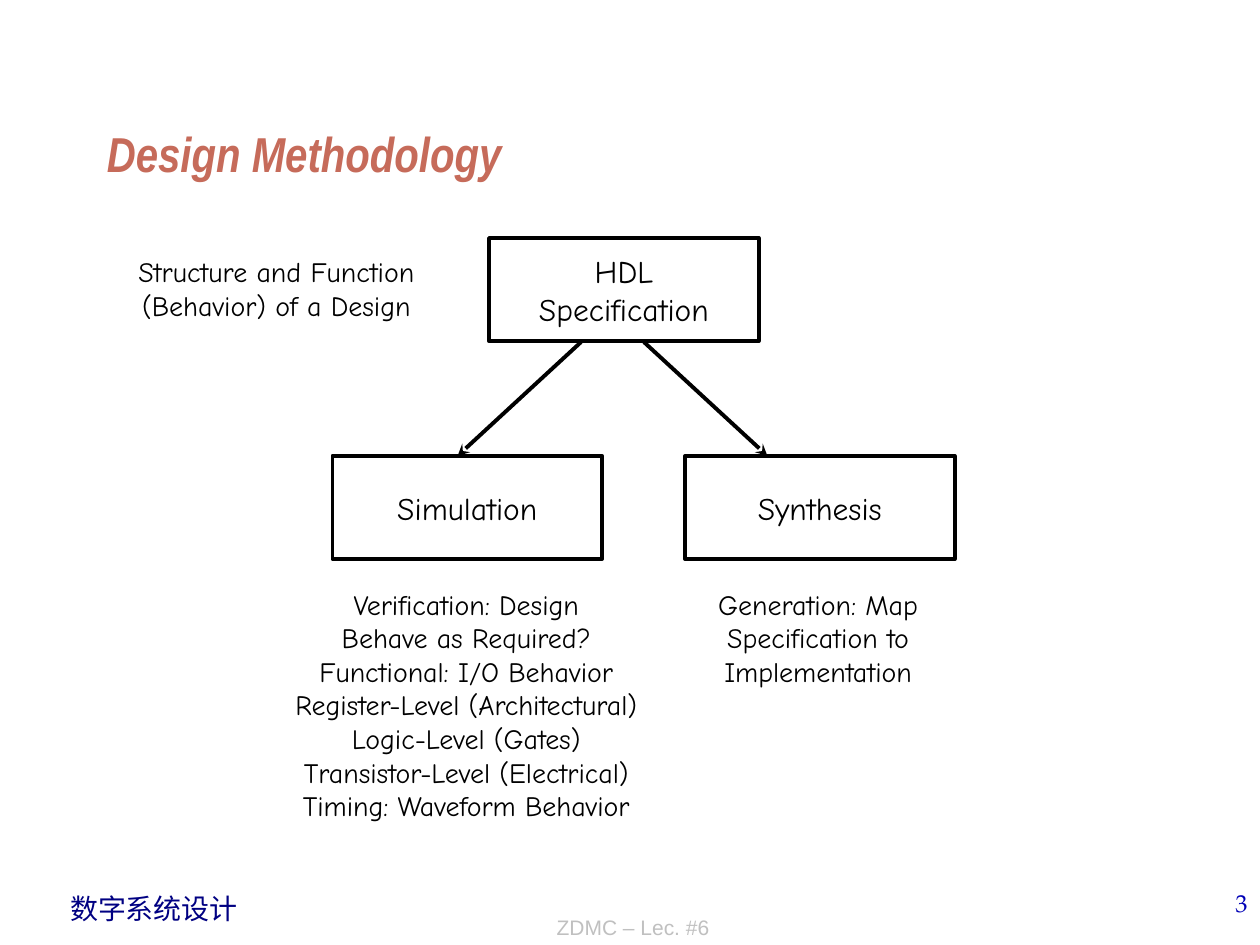
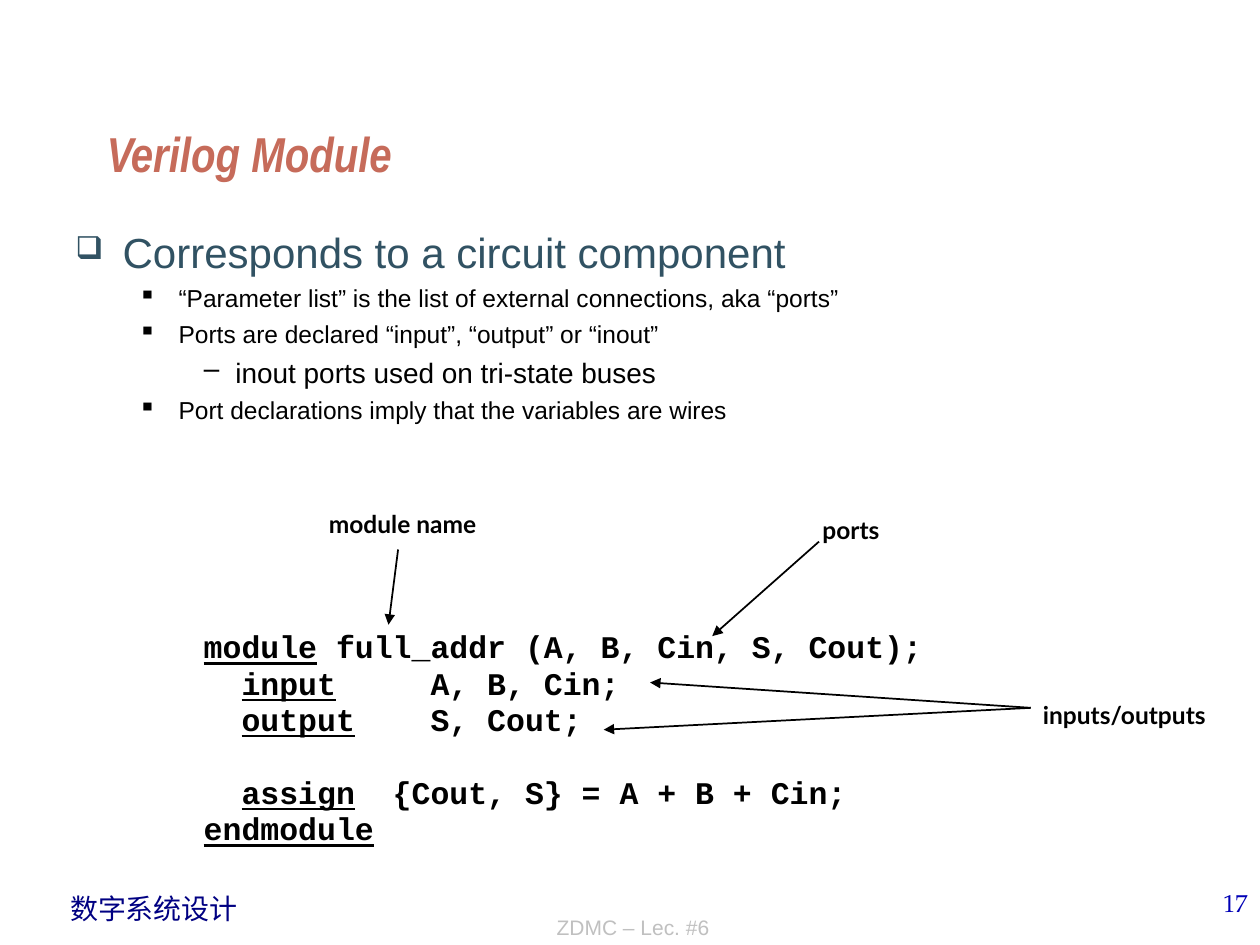
from lxml import etree
from pptx import Presentation
from pptx.dml.color import RGBColor
from pptx.enum.shapes import MSO_CONNECTOR, MSO_SHAPE
from pptx.enum.text import MSO_ANCHOR, PP_ALIGN
from pptx.oxml.ns import qn
from pptx.util import Pt

BLACK = "000000"
SLATE = "315263"
WIDE_INSETS = (7.2, 3.6)
TIGHT_INSETS = (1.44, 2.16)


def colour(value):
    return RGBColor.from_string(value)


class LectureDeck:
    """Holds the lecture style and draws each kind of element on the current page."""

    styles = {
        "title": dict(name="Arial Narrow", size=28, ink="C66B5A", bold=True, italic=True),
        "course": dict(name="Times New Roman", size=16, ink="000082"),
        "number": dict(name="TeX Gyre Pagella", size=14, ink="0000B6"),
        "lecture": dict(name="Arial", size=12, ink="C0C0C0"),
        "stage": dict(name="Comic Neue", size=18, ink=BLACK),
        "note": dict(name="Comic Neue", size=16, ink=BLACK),
        "code": dict(name="Courier New", size=18, ink=BLACK, bold=True),
        "label": dict(name="Lato", size=14, ink=BLACK, bold=True),
        "topic": dict(name="Arial", size=24, ink=SLATE),
        "point": dict(name="Arial", size=14, ink=BLACK),
        "detail": dict(name="Arial", size=16, ink=BLACK),
    }
    bullets = {
        "topic": dict(level=0, left=27, hang=27, before=0, sign="❑", scale=75),
        "point": dict(level=1, left=59, hang=23, before=3.5, sign="▪", scale=100),
        "detail": dict(level=2, left=91.5, hang=18, before=4, sign="–", scale=100),
    }

    def __init__(self):
        self.deck = Presentation()
        self.deck.slide_width, self.deck.slide_height = Pt(720), Pt(540)
        self.page = None

    def add_page(self, title, number):
        self.page = self.deck.slides.add_slide(self.deck.slide_layouts[6])
        self.add_text((33, 506, 110, 27), "数字系统设计", "course", wrap=False)
        self.add_text((570, 504, 150, 36), number, "number", align=PP_ALIGN.RIGHT)
        self.add_text((186.5, 504, 350.5, 36.5), "ZDMC – Lec. #6", "lecture",
                      align=PP_ALIGN.CENTER, anchor=MSO_ANCHOR.BOTTOM)
        self.add_text((54, 18, 612, 90), title, "title", anchor=MSO_ANCHOR.BOTTOM)

    def format_font(self, font, style):
        look = self.styles[style]
        font.name, font.size = look["name"], Pt(look["size"])
        font.bold, font.italic = look.get("bold", False), look.get("italic", False)
        font.color.rgb = colour(look["ink"])

    def fill_frame(self, box, text, style, align, anchor, wrap, insets):
        frame = box.text_frame
        frame.text = text
        frame.word_wrap, frame.vertical_anchor = wrap, anchor
        frame.margin_left = frame.margin_right = Pt(insets[0])
        frame.margin_top = frame.margin_bottom = Pt(insets[1])
        for para in frame.paragraphs:
            para.alignment = align
            for span in para.runs:
                self.format_font(span.font, style)

    def add_text(self, place, text, style, align=PP_ALIGN.LEFT,
                 anchor=MSO_ANCHOR.TOP, wrap=True, insets=WIDE_INSETS):
        box = self.page.shapes.add_textbox(*map(Pt, place))
        self.fill_frame(box, text, style, align, anchor, wrap, insets)
        return box

    def add_note(self, place, text):
        self.add_text(place, text, "note", align=PP_ALIGN.CENTER, wrap=False)

    def add_label(self, place, text):
        box = self.add_text(place, text, "label", wrap=False, insets=TIGHT_INSETS)
        box.text_frame.paragraphs[0].line_spacing = Pt(15.7)

    def add_stage(self, left, top, text):
        box = self.page.shapes.add_shape(MSO_SHAPE.RECTANGLE, *map(Pt, (left, top, 154, 59)))
        box.shadow.inherit = False
        box.fill.background()
        box.line.color.rgb, box.line.width = colour(BLACK), Pt(2.25)
        self.fill_frame(box, text, "stage", PP_ALIGN.CENTER, MSO_ANCHOR.MIDDLE,
                        False, WIDE_INSETS)

    def add_arrow(self, start, end, width, head):
        arrow = self.page.shapes.add_connector(MSO_CONNECTOR.STRAIGHT, *map(Pt, start + end))
        arrow.line.color.rgb, arrow.line.width = colour(BLACK), Pt(width)
        etree.SubElement(arrow.line._get_or_add_ln(), qn("a:tailEnd"), type=head)
        etree.SubElement(arrow._element.spPr, qn("a:effectLst"))

    def add_outline(self, place, items):
        box = self.add_text(place, "\n".join(text for _, text in items), "point")
        for para, (style, _) in zip(box.text_frame.paragraphs, items):
            bullet = self.bullets[style]
            para.level, para.space_before = bullet["level"], Pt(bullet["before"])
            settings = para._p.get_or_add_pPr()
            settings.set("marL", str(Pt(bullet["left"])))
            settings.set("indent", str(-Pt(bullet["hang"])))
            tint = etree.SubElement(settings, qn("a:buClr"))
            etree.SubElement(tint, qn("a:srgbClr"), val=self.styles[style]["ink"])
            etree.SubElement(settings, qn("a:buSzPct"), val=str(bullet["scale"] * 1000))
            etree.SubElement(settings, qn("a:buChar"), char=bullet["sign"])
            self.format_font(para.runs[0].font, style)

    def add_code(self, place, lines):
        box = self.add_text(place, "\n".join(indent for indent, *_ in lines), "code",
                            wrap=False, insets=TIGHT_INSETS)
        for para, (_, keyword, rest, gap) in zip(box.text_frame.paragraphs, lines):
            para.line_spacing, para.space_before = Pt(20.8), Pt(gap)
            for text, underlined in ((keyword, True), (rest, False)):
                if text:
                    span = para.add_run()
                    span.text = text
                    self.format_font(span.font, "code")
                    span.font.underline = underlined


def draw_methodology(lecture):
    lecture.add_page("Design Methodology", "3")
    lecture.add_stage(279.5, 136, "HDL\nSpecification")
    lecture.add_stage(190, 260.5, "Simulation")
    lecture.add_stage(391.5, 260.5, "Synthesis")
    lecture.add_arrow((332, 195.5), (261.5, 260.5), 2.25, "stealth")
    lecture.add_arrow((368, 195.5), (438.5, 260.5), 2.25, "stealth")
    lecture.add_note((72, 142, 172, 45), "Structure and Function\n(Behavior) of a Design")
    lecture.add_note((160, 332, 213, 141), "\n".join((
        "Verification: Design", "Behave as Required?", "Functional: I/O Behavior",
        "Register-Level (Architectural)", "Logic-Level (Gates)",
        "Transistor-Level (Electrical)", "Timing: Waveform Behavior")))
    lecture.add_note((403, 332, 129, 65), "Generation: Map\nSpecification to\nImplementation")


def draw_module(lecture):
    lecture.add_page("Verilog Module", "17")
    lecture.add_outline((36, 126, 684, 351), (
        ("topic", "Corresponds to a circuit component"),
        ("point", "“Parameter list” is the list of external connections, aka “ports”"),
        ("point", "Ports are declared “input”, “output” or “inout”"),
        ("detail", "inout ports used on tri-state buses"),
        ("point", "Port declarations imply that the variables are wires")))
    lecture.add_code((115, 357, 479.5, 134), (
        ("", "module", " full_addr (A, B, Cin, S, Cout);", 0),
        ("  ", "input", "     A, B, Cin;", 0),
        ("  ", "output", "    S, Cout;", 0),
        ("  ", "assign", "  {Cout, S} = A + B + Cin;", 20.8),
        ("", "endmodule", "", 0)))
    for start, end in (((227.5, 314), (222, 357)), ((468, 309.5), (407, 363.5)),
                       ((589, 404.5), (371.5, 390)), ((589, 404.5), (345, 417))):
        lecture.add_arrow(start, end, 1, "triangle")
    lecture.add_label((186.5, 290, 122.5, 26), "module name")
    lecture.add_label((594.5, 399, 115, 26), "inputs/outputs")
    lecture.add_label((468.5, 293, 67, 26), "ports")


def main():
    lecture = LectureDeck()
    draw_methodology(lecture)
    draw_module(lecture)
    lecture.deck.save("out.pptx")


if __name__ == "__main__":
    main()
